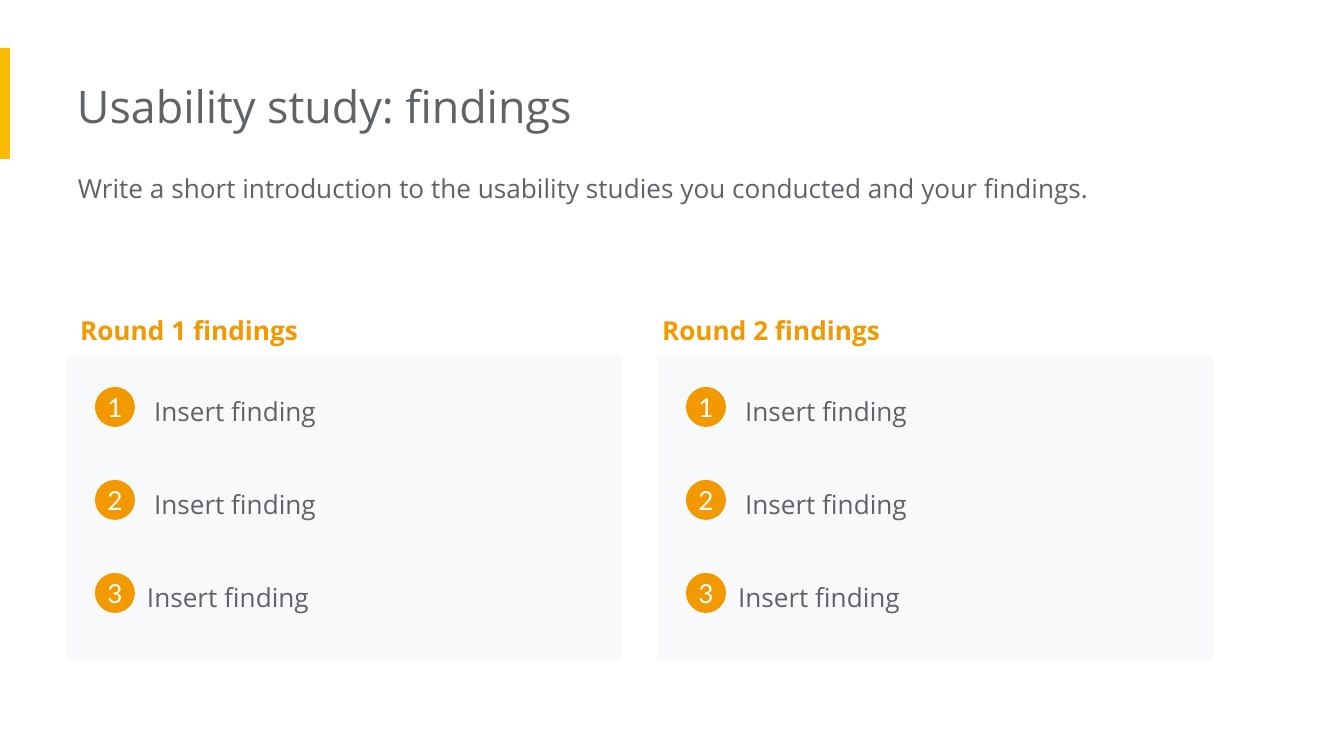
from dataclasses import dataclass
from pptx import Presentation
from pptx import util as u
from pptx.dml import color
from pptx.enum import shapes, text

EMU_PER_PIXEL = 914400 / 134.4


@dataclass(frozen=True)
class Theme:
    accent: str = "FBBC04"
    orange: str = "F29900"
    gray: str = "5F6368"
    panel: str = "F8F9FA"
    white: str = "FFFFFF"
    title_size: int = 24
    body_size: int = 14
    body_font: str = "Open Sans"
    badge_font: str = "Lato"


THEME = Theme()


def px(length):
    return u.Emu(round(length * EMU_PER_PIXEL))


def format_text(paragraph, size, hue, font=THEME.body_font, bold=False):
    for run in paragraph.runs:
        run.font.size = u.Pt(size)
        run.font.name = font
        run.font.bold = bold
        run.font.color.rgb = color.RGBColor.from_string(hue)


def add_text(slide, box, wording, size=THEME.body_size, hue=THEME.gray,
             bold=False, left_inset=13, spacing=1.15):
    shape = slide.shapes.add_textbox(*map(px, box))
    frame = shape.text_frame
    frame.word_wrap = True
    frame.margin_left = px(left_inset)
    frame.margin_top = frame.margin_right = frame.margin_bottom = px(13)
    frame.text = wording
    paragraph = frame.paragraphs[0]
    paragraph.line_spacing = spacing
    format_text(paragraph, size, hue, bold=bold)


def add_block(slide, box, fill, kind=shapes.MSO_SHAPE.RECTANGLE):
    shape = slide.shapes.add_shape(kind, *map(px, box))
    shape.shadow.inherit = False
    shape.fill.solid()
    shape.fill.fore_color.rgb = color.RGBColor.from_string(fill)
    shape.line.fill.background()
    return shape


def add_badge(slide, box, number):
    shape = add_block(slide, box, THEME.orange, shapes.MSO_SHAPE.OVAL)
    frame = shape.text_frame
    frame.margin_left = frame.margin_top = 0
    frame.margin_right = frame.margin_bottom = 0
    frame.vertical_anchor = text.MSO_ANCHOR.MIDDLE
    frame.word_wrap = True
    frame.text = str(number)
    paragraph = frame.paragraphs[0]
    paragraph.alignment = text.PP_ALIGN.CENTER
    format_text(paragraph, THEME.body_size, THEME.white, THEME.badge_font)


def add_header(slide, box, title, introduction):
    left, top, width, height = box
    add_block(slide, (left, top, 10, height), THEME.accent)
    add_text(slide, (left + 77, top + 18, 905, 81), title,
             size=THEME.title_size, left_inset=0, spacing=1.0)
    add_text(slide, (left + 78, top + 107, width - 78, 99), introduction,
             left_inset=0)


def add_round(slide, box, heading, heading_shift, findings):
    left, top, width, height = box
    add_block(slide, box, THEME.panel)
    add_text(slide, (left + heading_shift, top - 59, 491, 63), heading,
             hue=THEME.orange, bold=True)
    for index, (finding, indent) in enumerate(findings):
        row_top = top + 22 + index * 93
        add_text(slide, (left + indent, row_top, 491, 63), finding)
        add_badge(slide, (left + 28, row_top + 9, 40, 40), index + 1)


def build_findings_slide(presentation):
    slide = presentation.slides.add_slide(presentation.slide_layouts[6])
    add_header(slide, (0, 48, 1235, 111), "Usability study: findings",
               "Write a short introduction to the usability studies "
               "you conducted and your findings.")
    findings = [("Insert finding", indent) for indent in (74, 74, 67)]
    panel_width, gap = 555, 36
    for index, heading_shift in enumerate((0, -9)):
        panel_left = 67 + index * (panel_width + gap)
        add_round(slide, (panel_left, 356, panel_width, 304),
                  f"Round {index + 1} findings", heading_shift, findings)


presentation = Presentation()
presentation.slide_width = px(1344)
presentation.slide_height = px(756)
build_findings_slide(presentation)
presentation.save("out.pptx")
